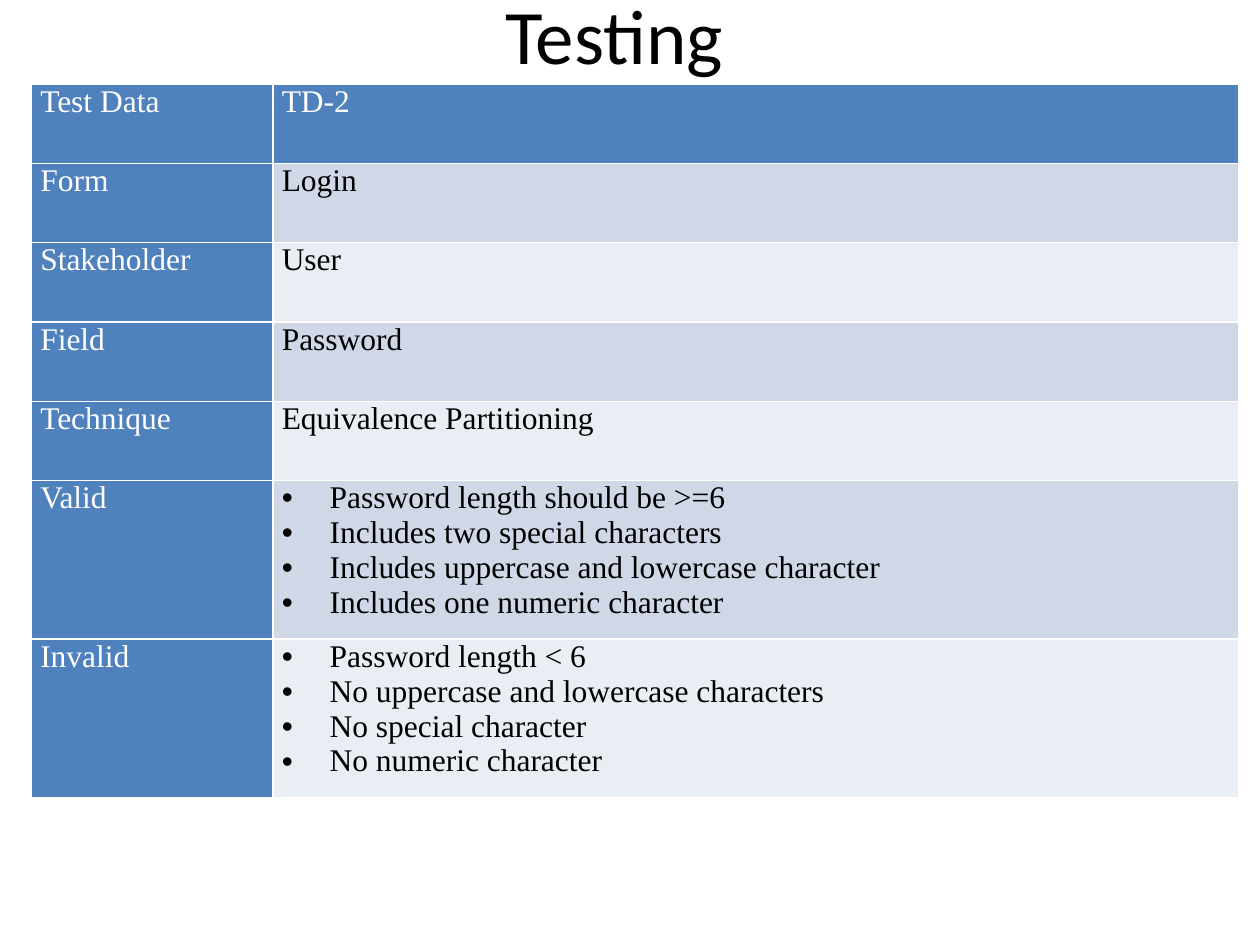
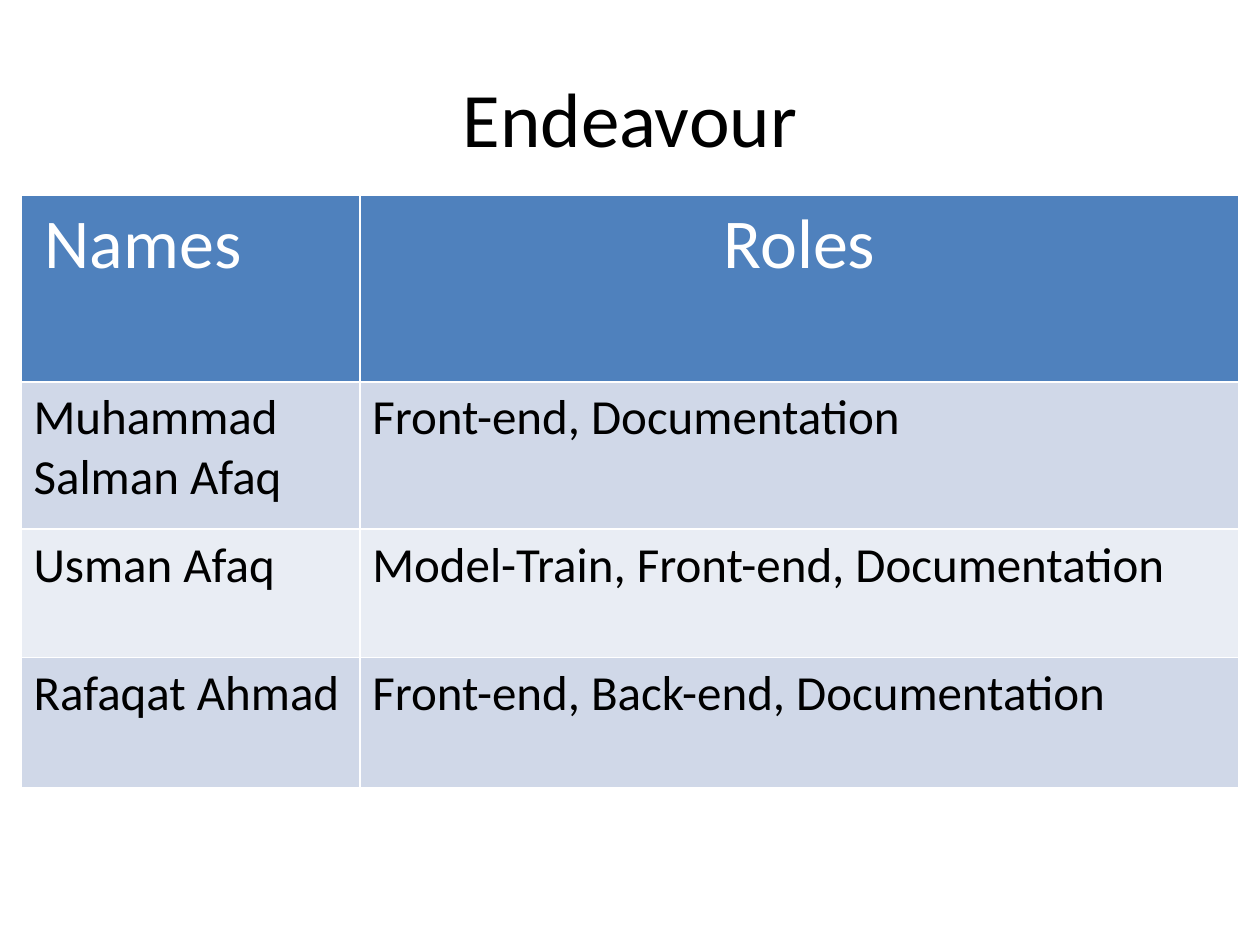
from dataclasses import dataclass

from lxml import etree
from pptx import Presentation
from pptx import util as u
from pptx.dml.color import RGBColor
from pptx.enum import text
from pptx.oxml import ns

WIDTH, HEIGHT = u.Inches(10), u.Inches(7.5)
COLUMN, ROW = WIDTH / 120, HEIGHT / 90

WHITE = RGBColor(0xFF, 0xFF, 0xFF)
BLACK = RGBColor(0x00, 0x00, 0x00)
BLUE = RGBColor(0x4F, 0x81, 0xBD)
BANDS = (RGBColor(0xE9, 0xED, 0xF4), RGBColor(0xD0, 0xD8, 0xE8))

SANS, SERIF = "Calibri", "Times New Roman"
LEFT, CENTER, JUSTIFY = (text.PP_ALIGN.LEFT, text.PP_ALIGN.CENTER,
                         text.PP_ALIGN.JUSTIFY)

TEST_CASE = [
    ("Test Data", ["TD-2"]),
    ("Form", ["Login"]),
    ("Stakeholder", ["User"]),
    ("Field", ["Password"]),
    ("Technique", ["Equivalence Partitioning"]),
    ("Valid", ["Password length should be >=6",
               "Includes two special characters",
               "Includes uppercase and lowercase character",
               "Includes one numeric character"]),
    ("Invalid", ["Password length < 6",
                 "No uppercase and lowercase characters",
                 "No special character",
                 "No numeric character"]),
]
TEAM = [
    ("Names", "Roles"),
    ("Muhammad Salman Afaq", "Front-end, Documentation"),
    ("Usman Afaq", "Model-Train, Front-end, Documentation"),
    ("Rafaqat Ahmad", "Front-end, Back-end, Documentation"),
]


@dataclass
class Box:
    """An area measured in grid columns and rows."""
    left: float
    top: float
    width: float
    height: float

    def emu(self):
        """Return left, top, width and height as lengths."""
        return (round(self.left * COLUMN), round(self.top * ROW),
                round(self.width * COLUMN), round(self.height * ROW))


def add_run(paragraph, words, font, size, color, align):
    """Write one styled run into an aligned paragraph."""
    paragraph.alignment = align
    run = paragraph.add_run()
    run.text = words
    run.font.name, run.font.size, run.font.bold = font, u.Pt(size), False
    run.font.color.rgb = color


def add_title(slide, box, words):
    """Place the centred slide title in its box."""
    frame = slide.shapes.add_textbox(*box.emu()).text_frame
    frame.word_wrap = True
    frame.vertical_anchor = text.MSO_ANCHOR.MIDDLE
    add_run(frame.paragraphs[0], words, SANS, 44, BLACK, CENTER)


def add_grid(slide, box, column_shares, row_shares):
    """Add an unstyled table whose columns and rows divide the box by share."""
    left, top, width, height = box.emu()
    table = slide.shapes.add_table(len(row_shares), len(column_shares),
                                   left, top, width, height).table
    table.first_row = table.horz_banding = False
    for column, share in zip(table.columns, column_shares):
        column.width = round(width * share / sum(column_shares))
    for row, share in zip(table.rows, row_shares):
        row.height = round(height * share / sum(row_shares))
    return table


def paint_cell(cell, color):
    """Fill a cell and rule its four sides in white."""
    cell.fill.solid()
    cell.fill.fore_color.rgb = color
    properties = cell._tc.get_or_add_tcPr()
    for place, side in enumerate(("lnL", "lnR", "lnT", "lnB")):
        line = etree.Element(ns.qn("a:" + side), w=str(u.Pt(1)))
        fill = etree.SubElement(line, ns.qn("a:solidFill"))
        etree.SubElement(fill, ns.qn("a:srgbClr"), val=str(WHITE))
        properties.insert(place, line)


def add_bullet(paragraph):
    """Give a paragraph a hanging round bullet."""
    indent = u.Inches(0.38)
    properties = paragraph._p.get_or_add_pPr()
    properties.set("marL", str(indent))
    properties.set("indent", str(-indent))
    etree.SubElement(properties, ns.qn("a:buFont"), typeface="Arial")
    etree.SubElement(properties, ns.qn("a:buChar"), char="•")


def fill_test_cell(cell, lines, fill, color):
    """Write a test-case cell, bulleted when it holds several lines."""
    paint_cell(cell, fill)
    cell.margin_left = cell.margin_right = u.Inches(0.07)
    cell.margin_top = cell.margin_bottom = 0
    frame = cell.text_frame
    for number, line in enumerate(lines):
        paragraph = frame.add_paragraph() if number else frame.paragraphs[0]
        add_run(paragraph, line, SERIF, 18, color, JUSTIFY)
        if len(lines) > 1:
            add_bullet(paragraph)


def add_test_case(slide, box):
    """Build the test-case table, with taller rows for lists."""
    heights = [2 if len(lines) > 1 else 1 for _, lines in TEST_CASE]
    table = add_grid(slide, box, (1, 4), heights)
    for row, (label, lines) in enumerate(TEST_CASE):
        fill_test_cell(table.cell(row, 0), [label], BLUE, WHITE)
        fill, color = (BANDS[row % 2], BLACK) if row else (BLUE, WHITE)
        fill_test_cell(table.cell(row, 1), lines, fill, color)


def add_team(slide, box):
    """Build the table of team members and their roles."""
    table = add_grid(slide, box, (2.69, 6.98), (1.48, 1.17, 1.02, 1.03))
    for row, entry in enumerate(TEAM):
        fill, color, size = (BANDS[row % 2], BLACK, 28) if row else (BLUE, WHITE, 40)
        for column, words in enumerate(entry):
            cell = table.cell(row, column)
            paint_cell(cell, fill)
            align = CENTER if row == 0 and column else LEFT
            add_run(cell.text_frame.paragraphs[0], words, SANS, size, color, align)
    table.cell(0, 0).margin_left = u.Inches(0.19)


def main():
    """Build both slides and save the presentation."""
    deck = Presentation()
    deck.slide_width, deck.slide_height = WIDTH, HEIGHT
    blank = deck.slide_layouts[6]

    testing = deck.slides.add_slide(blank)
    add_title(testing, Box(4, 0.4, 109, 5.6), "Testing")
    add_test_case(testing, Box(3, 8, 115, 68))

    endeavour = deck.slides.add_slide(blank)
    add_title(endeavour, Box(6, 3.6, 108, 15), "Endeavour")
    add_team(endeavour, Box(2, 18.6, 116, 56.4))

    deck.save("out.pptx")


if __name__ == "__main__":
    main()
